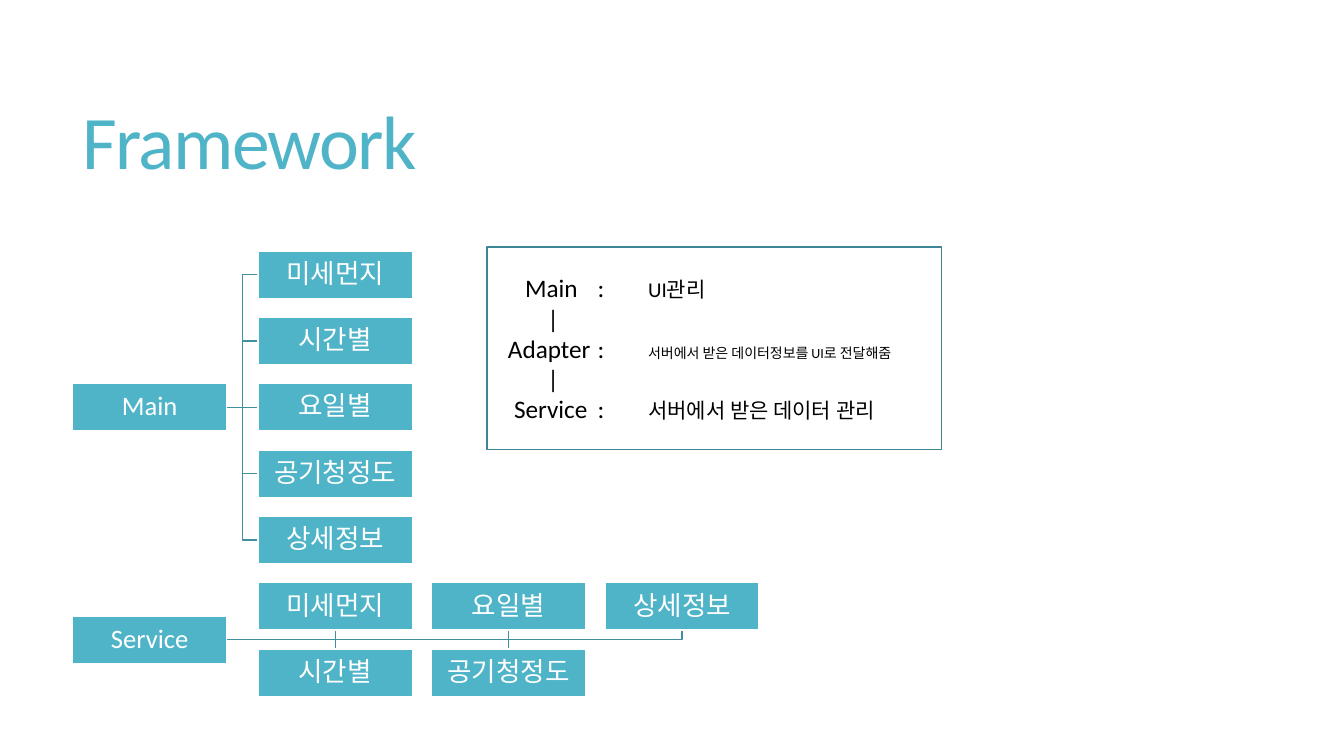
import pptx
import pptx.util
import pptx.dml.color
import pptx.enum.shapes
import pptx.enum.text
import pptx.oxml
from pptx.util import Inches

COLORS = {"teal": "50B4C8", "branch": "4090A0", "frame": "3B8594",
          "white": "FFFFFF", "black": "000000"}
FONT = "Calibri"
ALIGN = pptx.enum.text.PP_ALIGN
MIDDLE = pptx.enum.text.MSO_ANCHOR.MIDDLE
RECTANGLE = pptx.enum.shapes.MSO_SHAPE.RECTANGLE
STRAIGHT = pptx.enum.shapes.MSO_CONNECTOR.STRAIGHT

BOX_WIDTH, BOX_HEIGHT = 1.53, 0.47
ROOT_LEFT, CHILD_LEFT, COLUMN_STEP = 0.72, 2.56, 1.72
FIRST_TOP, ROW_STEP = 2.49, 3.95 / 6
ROOT_RIGHT = ROOT_LEFT + BOX_WIDTH

# Label, column, row; rows may be fractional
MAIN = ("Main", 2)
MAIN_CHILDREN = ["미세먼지", "시간별", "요일별", "공기청정도", "상세정보"]
SERVICE = ("Service", 5.5)
SERVICE_CHILDREN = [("미세먼지", 0, 5), ("시간별", 0, 6), ("요일별", 1, 5),
                    ("공기청정도", 1, 6), ("상세정보", 2, 5)]

# Role, its indent, description, description size
ROLES = [("Main", 0.28, "UI관리", 15),
         ("Adapter", 0.11, "서버에서 받은 데이터정보를 UI로 전달해줌", 10),
         ("Service", 0.17, "서버에서 받은 데이터 관리", 15)]


def rgb(name):
    return pptx.dml.color.RGBColor.from_string(COLORS[name])


def style(span, size, color):
    span.font.size = pptx.util.Pt(size)
    span.font.name = FONT
    span.font.color.rgb = rgb(color)


def outline(shape, color):
    shape.line.color.rgb = rgb(color)
    shape.line.width = pptx.util.Pt(1)


def row_top(row):
    return FIRST_TOP + row * ROW_STEP


def row_middle(row):
    return row_top(row) + BOX_HEIGHT / 2


def set_title(slide, text):
    title = slide.shapes.title
    title.left, title.top = Inches(0.72), Inches(0.55)
    title.width, title.height = Inches(11.78), Inches(1.81)
    frame = title.text_frame
    frame.text = text
    frame.vertical_anchor = MIDDLE
    frame.auto_size = pptx.enum.text.MSO_AUTO_SIZE.NONE
    para = frame.paragraphs[0]
    para.alignment = ALIGN.LEFT
    para.line_spacing = 0.85
    span = para.runs[0]
    style(span, 54, "teal")
    span.font._element.set("spc", "-120")


def add_branch(slide, points):
    """Draw a line through the points, given in inches."""
    points = [(Inches(x), Inches(y)) for x, y in points]
    if len(points) == 2:
        branch = slide.shapes.add_connector(STRAIGHT, *points[0], *points[1])
        branch._element.spPr.append(pptx.oxml.parse_xml(
            '<a:effectLst xmlns:a="http://schemas.openxmlformats.org/drawingml/2006/main"/>'))
    else:
        builder = slide.shapes.build_freeform(*points[0])
        builder.add_line_segments(points[1:], close=False)
        branch = builder.convert_to_shape()
        branch.fill.background()
        branch.shadow.inherit = False
    outline(branch, "branch")


def add_node(slide, label, left, row):
    box = slide.shapes.add_shape(RECTANGLE, Inches(left), Inches(row_top(row)),
                                 Inches(BOX_WIDTH), Inches(BOX_HEIGHT))
    box.shadow.inherit = False
    box.fill.solid()
    box.fill.fore_color.rgb = rgb("teal")
    outline(box, "white")
    frame = box.text_frame
    frame.margin_left = frame.margin_right = Inches(0.01)
    frame.margin_top = frame.margin_bottom = Inches(0.01)
    frame.vertical_anchor = MIDDLE
    frame.text = label
    para = frame.paragraphs[0]
    para.alignment = ALIGN.CENTER
    para.line_spacing = 0.9
    style(para.runs[0], 19, "white")


def add_main_tree(slide):
    label, root_row = MAIN
    start = row_middle(root_row)
    bend = (ROOT_RIGHT + CHILD_LEFT) / 2
    for row in range(len(MAIN_CHILDREN)):
        end = row_middle(row)
        turns = [] if row == root_row else [(bend, start), (bend, end)]
        add_branch(slide, [(ROOT_RIGHT, start), *turns, (CHILD_LEFT, end)])
    add_node(slide, label, ROOT_LEFT, root_row)
    for row, child in enumerate(MAIN_CHILDREN):
        add_node(slide, child, CHILD_LEFT, row)


def add_service_tree(slide):
    label, root_row = SERVICE
    trunk = row_middle(root_row)
    for _, column, row in SERVICE_CHILDREN:
        center = CHILD_LEFT + column * COLUMN_STEP + BOX_WIDTH / 2
        edge = row_top(row) + (BOX_HEIGHT if row < root_row else 0)
        add_branch(slide, [(ROOT_RIGHT, trunk), (center, trunk), (center, edge)])
    add_node(slide, label, ROOT_LEFT, root_row)
    for child, column, row in SERVICE_CHILDREN:
        add_node(slide, child, CHILD_LEFT + column * COLUMN_STEP, row)


def add_tabbed_line(frame, stops, spans):
    """Add a paragraph of (text, size) spans with tab stops in inches."""
    first = frame.paragraphs[0]
    para = frame.add_paragraph() if first.runs else first
    para.alignment = ALIGN.JUSTIFY
    tabs = "".join(f'<a:tab pos="{Inches(stop)}" algn="l"/>' for stop in stops)
    para._p.get_or_add_pPr().append(pptx.oxml.parse_xml(
        '<a:tabLst xmlns:a="http://schemas.openxmlformats.org/drawingml/2006/main">'
        f"{tabs}</a:tabLst>"))
    for text, size in spans:
        span = para.add_run()
        span.text = text
        style(span, size, "black")


def add_legend(slide):
    box = slide.shapes.add_shape(RECTANGLE, Inches(4.83), Inches(2.45),
                                 Inches(4.51), Inches(2.01))
    box.shadow.inherit = False
    box.fill.background()
    outline(box, "frame")
    frame = box.text_frame
    frame.word_wrap = True
    frame.vertical_anchor = MIDDLE
    for index, (role, indent, description, size) in enumerate(ROLES):
        if index:
            add_tabbed_line(frame, [0.5], [("\t|", 18)])
        add_tabbed_line(frame, [indent, 1, 1.5],
                        [(f"\t{role}\t:\t", 18), (description, size)])


def main():
    deck = pptx.Presentation()
    deck.slide_width, deck.slide_height = Inches(13.33), Inches(7.5)
    slide = deck.slides.add_slide(deck.slide_layouts[5])
    set_title(slide, "Framework")
    add_service_tree(slide)
    add_main_tree(slide)
    add_legend(slide)
    deck.save("out.pptx")


if __name__ == "__main__":
    main()
